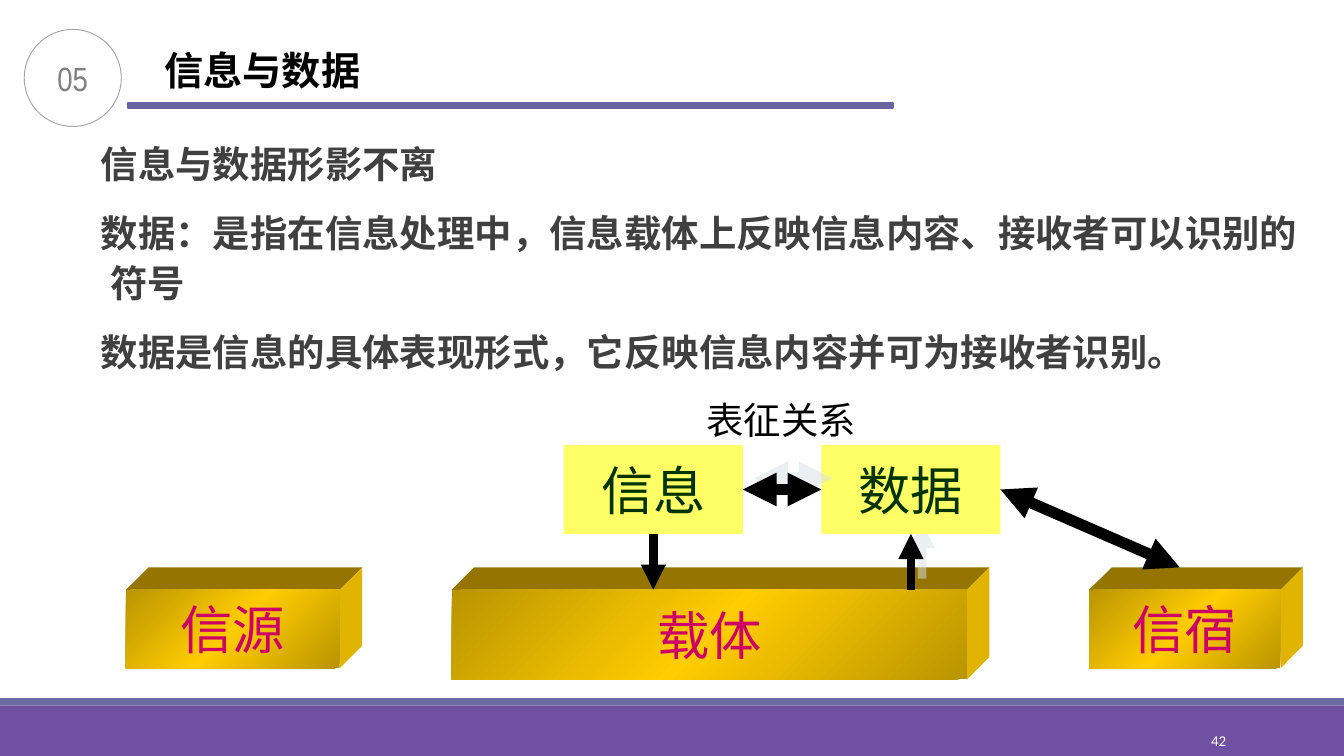
from copy import deepcopy

from pptx import Presentation
from pptx.dml.color import RGBColor
from pptx.enum import shapes, text
from pptx.oxml import parse_xml
from pptx.oxml import ns
from pptx.oxml.xmlchemy import OxmlElement
from pptx.util import Pt

COLORS = {
    "footer": "7050A0", "footer_edge": "6D69A3", "rule": "6964A0",
    "white": "FFFFFF", "black": "000000", "ring": "A6A6A6", "number": "808080",
    "body": "404040", "card": "FFFF66", "card_text": "003300",
    "block_dark": "BA9500", "block_light": "FFCC00", "block_text": "CC0066",
    "block_top": "957500", "block_side": "E0B400", "shadow": "D9E0E6",
}
SHAPE = shapes.MSO_SHAPE
ALIGN = text.PP_ALIGN
DEPTH = 12
BLOCK_TOP = 316
CARD_TOP, CARD_WIDTH, CARD_HEIGHT = 238.5, 96, 47.5
CARD_MIDDLE = CARD_TOP + CARD_HEIGHT / 2
CARD_BOTTOM = CARD_TOP + CARD_HEIGHT


def color(name):
    return RGBColor.from_string(COLORS[name])


def write(box, lines, size, ink, font="Arial", bold=False, align=ALIGN.LEFT,
          anchor=text.MSO_ANCHOR.MIDDLE, wrap=False, inset=(5, 3),
          spacing=None, before=0, after=0, hanging=0):
    """Fill a box with one paragraph per line."""
    frame = box.text_frame
    frame.word_wrap = wrap
    frame.vertical_anchor = anchor
    frame.margin_left = frame.margin_right = Pt(inset[0])
    frame.margin_top = frame.margin_bottom = Pt(inset[1])
    for index, line in enumerate(lines):
        para = frame.add_paragraph() if index else frame.paragraphs[0]
        para.alignment = align
        para.space_before = Pt(before if index else 0)
        para.space_after = Pt(after)
        if spacing:
            para.line_spacing = spacing
        if hanging:
            props = para._p.get_or_add_pPr()
            props.set("marL", str(Pt(hanging)))
            props.set("indent", str(-Pt(hanging)))
        span = para.add_run()
        span.text = line
        span.font.size = Pt(size)
        span.font.bold = bold
        span.font.color.rgb = color(ink)
        span.font.name = font
        east_asian = OxmlElement("a:ea")
        east_asian.set("typeface", font)
        span._r.get_or_add_rPr().append(east_asian)


def add_label(page, left, top, width, height, lines, **style):
    box = page.shapes.add_textbox(Pt(left), Pt(top), Pt(width), Pt(height))
    write(box, lines, **style)


def paint(shape, fill=None, line=None, weight=1):
    shape.shadow.inherit = False
    if fill:
        shape.fill.solid()
        shape.fill.fore_color.rgb = color(fill)
    else:
        shape.fill.background()
    if line:
        shape.line.color.rgb = color(line)
        shape.line.width = Pt(weight)
    else:
        shape.line.fill.background()


def add_figure(page, kind, left, top, width, height, **look):
    shape = page.shapes.add_shape(kind, Pt(left), Pt(top), Pt(width), Pt(height))
    paint(shape, **look)
    return shape


def add_card(page, left, label):
    card = add_figure(page, SHAPE.RECTANGLE, left, CARD_TOP, CARD_WIDTH,
                      CARD_HEIGHT, fill="card")
    write(card, [label], size=28, ink="card_text", align=ALIGN.CENTER)


def add_face(page, points, fill):
    builder = page.shapes.build_freeform(Pt(points[0][0]), Pt(points[0][1]))
    builder.add_line_segments([(Pt(x), Pt(y)) for x, y in points[1:]])
    paint(builder.convert_to_shape(), fill=fill)


def add_block(page, left, width, height, label):
    """Draw a box in oblique projection, with a diagonal sheen in front."""
    right, bottom = left + width, BLOCK_TOP + height
    back_top = BLOCK_TOP - DEPTH
    add_face(page, [(left, BLOCK_TOP), (left + DEPTH, back_top),
                    (right + DEPTH, back_top), (right, BLOCK_TOP)], "block_top")
    add_face(page, [(right, BLOCK_TOP), (right + DEPTH, back_top),
                    (right + DEPTH, bottom - DEPTH), (right, bottom)], "block_side")
    front = add_figure(page, SHAPE.RECTANGLE, left, BLOCK_TOP, width, height)
    front.fill.gradient()
    front.fill.gradient_angle = 315
    stop_list = front._element.spPr.find(".//" + ns.qn("a:gsLst"))
    stop_list.append(deepcopy(stop_list[0]))
    sheen = [(0, "block_dark"), (0.5, "block_light"), (1, "block_dark")]
    for stop, (position, name) in zip(front.fill.gradient_stops, sheen):
        stop.position = position
        stop.color.rgb = color(name)
    write(front, [label], size=28, ink="block_text", align=ALIGN.CENTER)


def add_arrow(page, start, end, weight, double=False, shadow=False):
    arrow = page.shapes.add_connector(
        shapes.MSO_CONNECTOR.STRAIGHT, *(Pt(value) for value in start + end))
    arrow.line.color.rgb = color("black")
    arrow.line.width = Pt(weight)
    for tag in ["a:headEnd", "a:tailEnd"] if double else ["a:tailEnd"]:
        tip = OxmlElement(tag)
        tip.set("type", "triangle")
        arrow.line._get_or_add_ln().append(tip)
    effects = OxmlElement("a:effectLst")
    if shadow:
        effects.append(parse_xml(
            f'<a:outerShdw {ns.nsdecls("a")} blurRad="0" dist="{Pt(8.5)}" '
            f'dir="18900000" algn="ctr" rotWithShape="0">'
            f'<a:srgbClr val="{COLORS["shadow"]}"><a:alpha val="50000"/>'
            f'</a:srgbClr></a:outerShdw>'))
    arrow._element.spPr.append(effects)


def add_frame(page):
    """Draw the footer, page number and heading."""
    add_figure(page, SHAPE.RECTANGLE, 0, 378, 720, 27, fill="footer")
    add_figure(page, SHAPE.RECTANGLE, 0, 374, 720, 4, fill="footer_edge")
    add_label(page, 584.5, 386, 77.5, 21.5, ["42"], size=8, ink="white",
              font="Calibri", align=ALIGN.RIGHT, wrap=True)
    add_figure(page, SHAPE.RECTANGLE, 68.5, 55.2, 409.7, 2.6,
               fill="rule", line="rule", weight=1.25)
    ring = add_figure(page, SHAPE.OVAL, 13, 15.8, 52, 52, line="ring", weight=0.5)
    write(ring, ["05"], size=18, ink="number", font="Arial Narrow",
          align=ALIGN.CENTER, wrap=True)
    add_label(page, 83, 22, 117.5, 31, ["信息与数据"], size=21, ink="black",
              font="Noto Sans CJK SC", bold=True, anchor=text.MSO_ANCHOR.TOP)


def add_diagram(page):
    info, data = 302, 440
    add_card(page, info, "信息")
    add_block(page, 242, 276, 48, "载体")
    add_block(page, 67.5, 114.5, 42, "信源")
    info_center, data_center = info + CARD_WIDTH / 2, data + CARD_WIDTH / 2
    add_arrow(page, (data_center, BLOCK_TOP), (data_center, CARD_BOTTOM), 4.5,
              shadow=True)
    add_card(page, data, "数据")
    add_arrow(page, (info + CARD_WIDTH, CARD_MIDDLE), (data, CARD_MIDDLE), 6,
              double=True, shadow=True)
    add_block(page, 583.5, 102.5, 42, "信宿")
    add_arrow(page, (info_center, CARD_BOTTOM), (info_center, BLOCK_TOP), 4.5)
    add_arrow(page, (data + CARD_WIDTH, CARD_MIDDLE), (632, BLOCK_TOP - DEPTH), 6,
              double=True)
    add_label(page, 373.5, 212.5, 90, 24, ["表征关系"], size=20, ink="black",
              align=ALIGN.CENTER, inset=(0, 0))


def main():
    deck = Presentation()
    deck.slide_width, deck.slide_height = Pt(720), Pt(405)
    page = deck.slides.add_slide(deck.slide_layouts[6])
    add_frame(page)
    add_label(page, 54, 70.5, 648, 178, [
        "信息与数据形影不离",
        "数据：是指在信息处理中，信息载体上反映信息内容、接收者可以识别的符号",
        "数据是信息的具体表现形式，它反映信息内容并可为接收者识别。",
    ], size=20, ink="body", font="Calibri", bold=True, wrap=True, inset=(0, 3),
        anchor=text.MSO_ANCHOR.TOP, spacing=1.1, before=9, after=1.5, hanging=5)
    add_diagram(page)
    deck.save("out.pptx")


if __name__ == "__main__":
    main()
